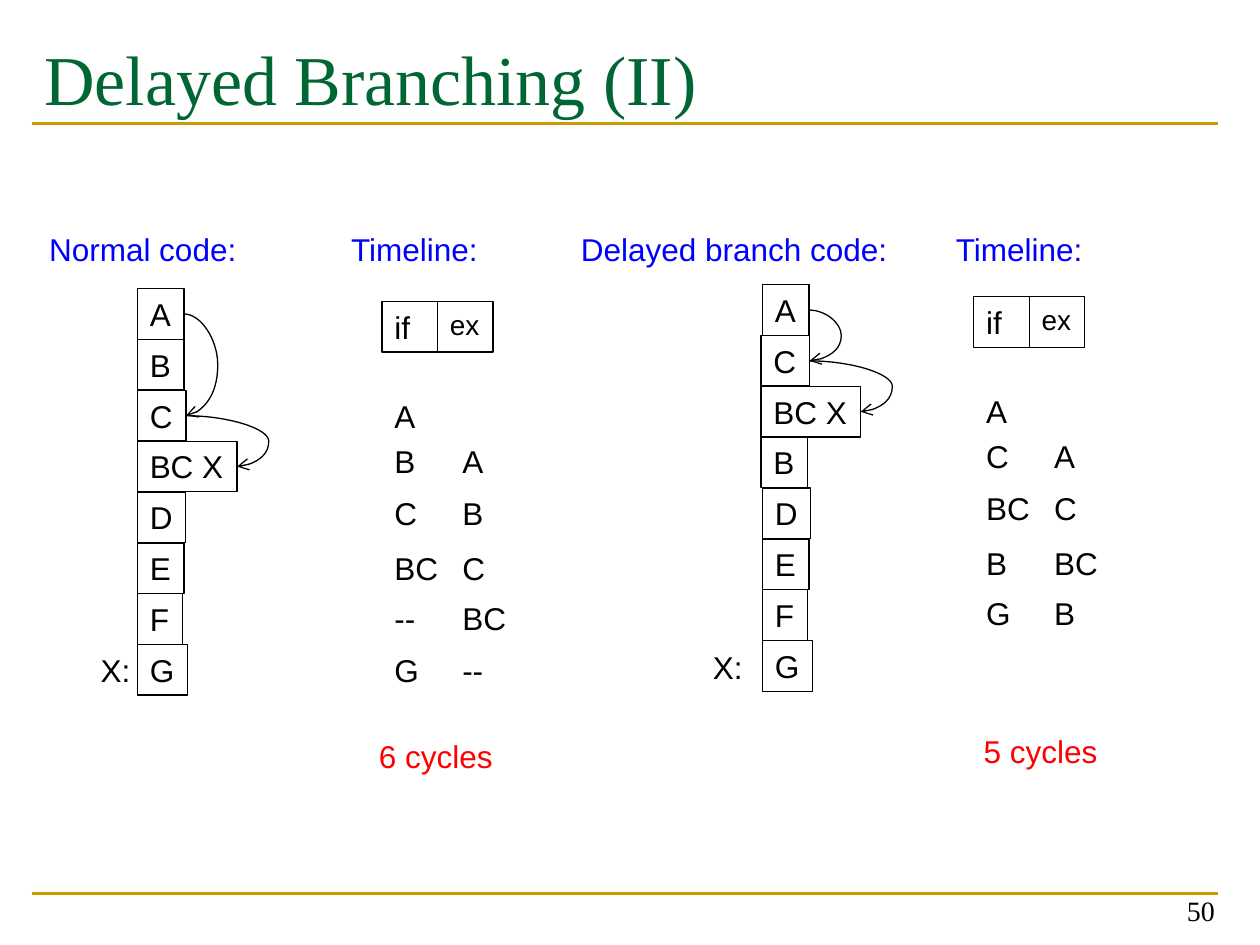
from lxml import etree
from pptx import Presentation
from pptx.dml.color import RGBColor
from pptx.enum import shapes, text
from pptx.oxml.ns import qn
from pptx.util import Cm, Pt

BLACK, WHITE, GREEN = "000000", "FFFFFF", "006633"
GOLD, BLUE, RED = "CC9900", "0000FF", "FF0000"
SERIF = "Times New Roman"
ROW_H = 1.02
PITCH = 1.025
BULGE = Cm(0.64)
WIDTHS = {"A": 0.94, "B": 0.94, "C": 0.98, "D": 0.97, "E": 0.94, "F": 0.91,
          "G": 1.01, "BC": 1.4, "BC X": 2.01, "--": 0.94}

prs = Presentation()
prs.slide_width, prs.slide_height = Cm(25.4), Cm(19.05)
s = prs.slides.add_slide(prs.slide_layouts[5])


def write(sp, words, size=18, color=BLACK, font="Arial", align="LEFT",
          anchor="TOP", wrap=False, outline=False, fill=None):
    """Put formatted text in a shape and set the shape's fill and outline."""
    if outline:
        sp.shadow.inherit = False
        sp.line.color.rgb = RGBColor.from_string(BLACK)
        sp.line.width = Pt(0.75)
    if fill:
        sp.fill.solid()
        sp.fill.fore_color.rgb = RGBColor.from_string(fill)
    else:
        sp.fill.background()
    tf = sp.text_frame
    tf.word_wrap = wrap
    tf.auto_size = (text.MSO_AUTO_SIZE.NONE if wrap
                    else text.MSO_AUTO_SIZE.SHAPE_TO_FIT_TEXT)
    tf.vertical_anchor = text.MSO_ANCHOR[anchor]
    p = tf.paragraphs[0]
    p.alignment = text.PP_ALIGN[align]
    r = p.add_run()
    r.text = words
    r.font.size, r.font.name = Pt(size), font
    r.font.color.rgb = RGBColor.from_string(color)
    return sp


def add_line(kind, ends, color, width):
    """Add a connector without a shadow."""
    cxn = s.shapes.add_connector(kind, *[Cm(v) for v in ends])
    cxn.line.color.rgb = RGBColor.from_string(color)
    cxn.line.width = Pt(width)
    etree.SubElement(cxn._element.spPr, qn("a:effectLst"))
    return cxn


# Title, rules and page number
for y in (18.01, 2.49):
    add_line(shapes.MSO_CONNECTOR.STRAIGHT, (0.64, y, 24.56, y), GOLD, 1.5)

title = s.shapes.title
title.left, title.top, title.width, title.height = Cm(0.64), Cm(0.43), Cm(23.93), Cm(2.97)
write(title, "Delayed Branching (II)", size=40, color=GREEN, font=SERIF, wrap=True)
title.text_frame.margin_top = Cm(0.29)

page = s.shapes.add_textbox(Cm(18.82), Cm(17.55), Cm(5.92), Cm(1.27))
write(page, "50", size=16, font=SERIF, align="RIGHT", anchor="BOTTOM", wrap=True)

# Code columns: left edge, top, instructions, boxes set slightly left, jumps
columns = [
    (2.77, 5.82, ["A", "B", "C", "BC X", "D", "E", "F", "G"], [],
     [("A", "C"), ("C", "BC X")]),
    (15.37, 5.74, ["A", "C", "BC X", "B", "D", "E", "F", "G"], ["C", "BC X", "B"],
     [("A", "C"), ("C", "BC X")]),
]
for left, top, code, shifted, jumps in columns:
    boxes = {}
    for i, name in enumerate(code):
        x = left - 0.03 if name in shifted else left
        sp = s.shapes.add_shape(shapes.MSO_SHAPE.RECTANGLE, Cm(x), Cm(top + i * PITCH),
                                Cm(WIDTHS[name]), Cm(ROW_H))
        boxes[name] = write(sp, name, outline=True)
    for start, end in jumps:
        cxn = add_line(shapes.MSO_CONNECTOR.CURVE, (0, 0, 1, 1), BLACK, 0.75)
        cxn.begin_connect(boxes[start], 3)
        cxn.end_connect(boxes[end], 3)
        bend = round((cxn.width + BULGE) / cxn.width * 100000)
        av = cxn._element.spPr.find(qn("a:prstGeom")).find(qn("a:avLst"))
        etree.SubElement(av, qn("a:gd"), name="adj1", fmla=f"val {bend}")
        etree.SubElement(cxn.line._get_or_add_ln(), qn("a:tailEnd"), type="arrow")

# Timelines: left edge, shift down, (if, ex) in each cycle
row_tops = [7.87, 8.79, 9.83, 10.95, 11.96, 13.0]
timelines = [
    (7.7, 0, [("A", ""), ("B", "A"), ("C", "B"), ("BC", "C"), ("--", "BC"), ("G", "--")]),
    (19.63, -0.1, [("A", ""), ("C", "A"), ("BC", "C"), ("B", "BC"), ("G", "B")]),
]
for left, shift, cycles in timelines:
    for i, (stage, size) in enumerate([("if", 18), ("ex", 16)]):
        sp = s.shapes.add_shape(shapes.MSO_SHAPE.RECTANGLE, Cm(left + i * 1.12),
                                Cm(6.08 + shift), Cm(1.12), Cm(ROW_H))
        write(sp, stage, size=size, wrap=True, outline=True, fill=WHITE)
    for y, cycle in zip(row_tops, cycles):
        for i, name in enumerate(cycle):
            if name:
                sp = s.shapes.add_textbox(Cm(left + i * 1.37), Cm(y + shift),
                                          Cm(WIDTHS[name]), Cm(ROW_H))
                write(sp, name)

# Headings, branch target labels and cycle counts
labels = [
    ("Normal code:", 0.74, 4.52, 4.32, BLUE),
    ("Timeline:", 6.83, 4.52, 3.1, BLUE),
    ("Delayed branch code:", 11.46, 4.52, 6.76, BLUE),
    ("Timeline:", 19.02, 4.52, 3.1, BLUE),
    ("X:", 1.78, 13.0, 1.12, BLACK),
    ("X:", 14.12, 12.93, 1.12, BLACK),
    ("6 cycles", 7.39, 14.73, 2.82, RED),
    ("5 cycles", 19.58, 14.63, 2.82, RED),
]
for words, x, y, w, color in labels:
    sp = s.shapes.add_textbox(Cm(x), Cm(y), Cm(w), Cm(ROW_H))
    write(sp, words, color=color)

prs.save("out.pptx")
